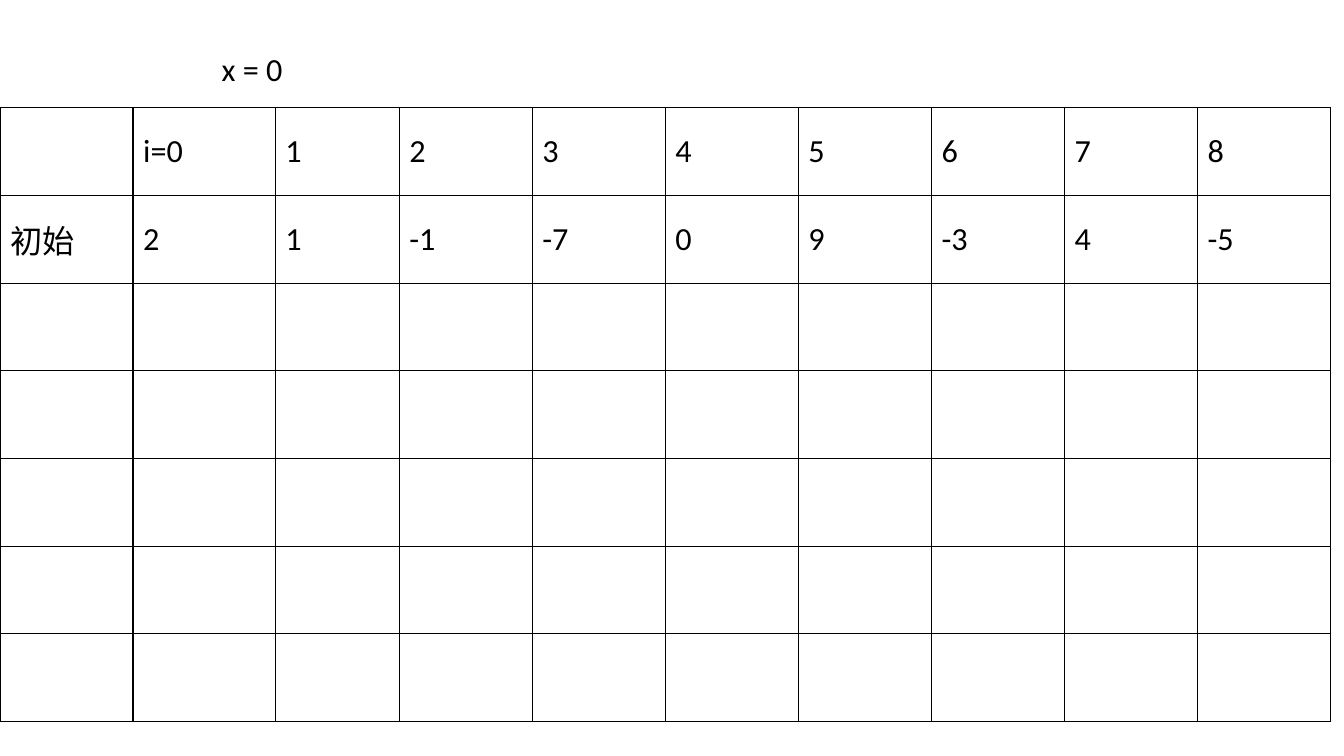
from lxml import etree
from pptx import Presentation
from pptx import util as u
from pptx.dml import color
from pptx.enum import text
from pptx.oxml import ns

PX = 9144
BLACK = "000000"


def rgb(value):
    return color.RGBColor.from_string(value)


def add_run(p, words):
    r = p.add_run()
    r.text = words
    r.font.name = "Calibri"
    r.font.size = u.Pt(23)
    r.font.bold = False
    r.font.color.rgb = rgb(BLACK)


prs = Presentation()
prs.slide_width = 1333 * PX
prs.slide_height = 750 * PX
s = prs.slides.add_slide(prs.slide_layouts[6])

widths = [132, 141, 123] + [132] * 7
row_height = 87
row_count = 7
values = [
    ["", "i=0", "1", "2", "3", "4", "5", "6", "7", "8"],
    ["初始", "2", "1", "-1", "-7", "0", "9", "-3", "4", "-5"],
]
values += [[""] * len(widths) for _ in range(row_count - len(values))]

table = s.shapes.add_table(
    row_count, len(widths), 0, 107 * PX, sum(widths) * PX, row_count * row_height * PX
).table
table.first_row = False
table.horz_banding = False
for column, width in zip(table.columns, widths):
    column.width = width * PX

for row, row_values in zip(table.rows, values):
    row.height = row_height * PX
    for cell, value in zip(row.cells, row_values):
        cell.vertical_anchor = text.MSO_ANCHOR.MIDDLE
        tcPr = cell._tc.get_or_add_tcPr()
        for side in ("a:lnL", "a:lnR", "a:lnT", "a:lnB"):
            ln = etree.SubElement(tcPr, ns.qn(side), w=str(u.Pt(1)))
            fill = etree.SubElement(ln, ns.qn("a:solidFill"))
            etree.SubElement(fill, ns.qn("a:srgbClr"), val=BLACK)
        cell.fill.background()
        if value:
            add_run(cell.text_frame.paragraphs[0], value)

sp = s.shapes.add_textbox(210 * PX, 44 * PX, 81 * PX, 49 * PX)
tf = sp.text_frame
tf.word_wrap = False
tf.auto_size = text.MSO_AUTO_SIZE.SHAPE_TO_FIT_TEXT
add_run(tf.paragraphs[0], "x = 0")

prs.save("out.pptx")
